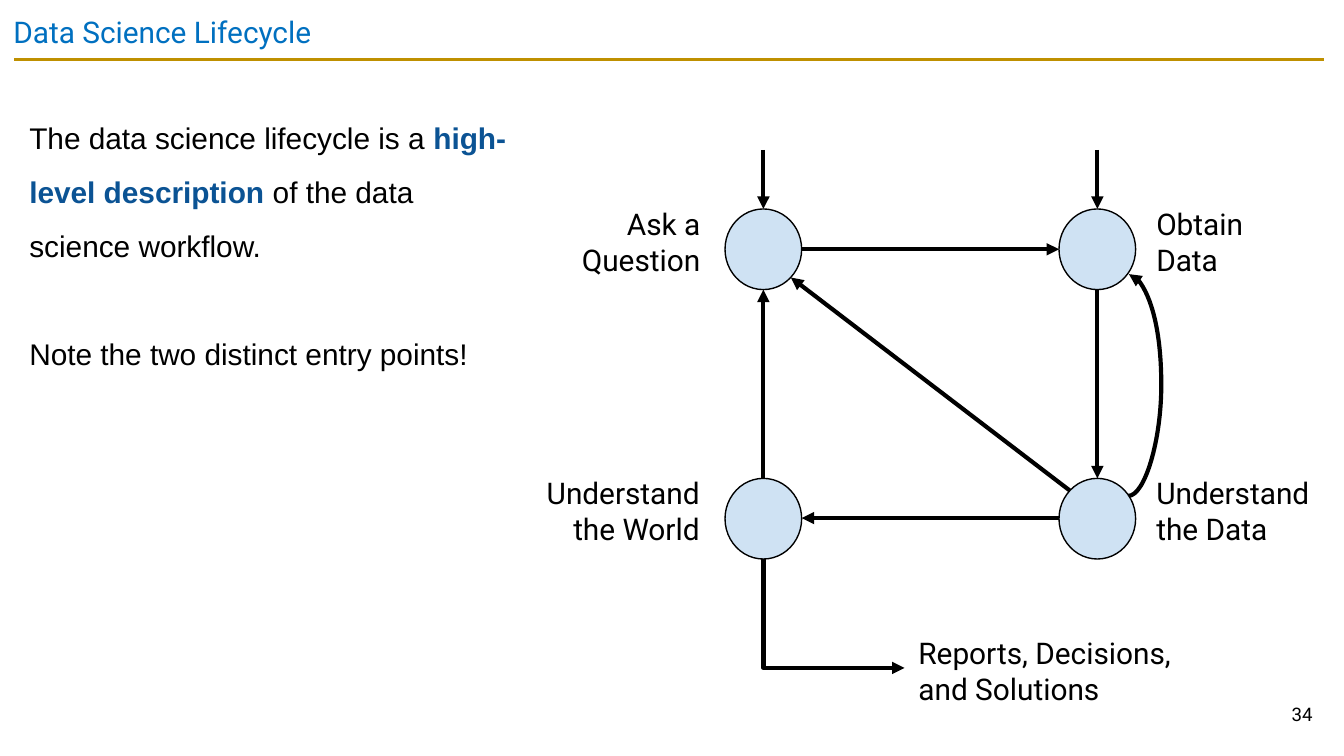
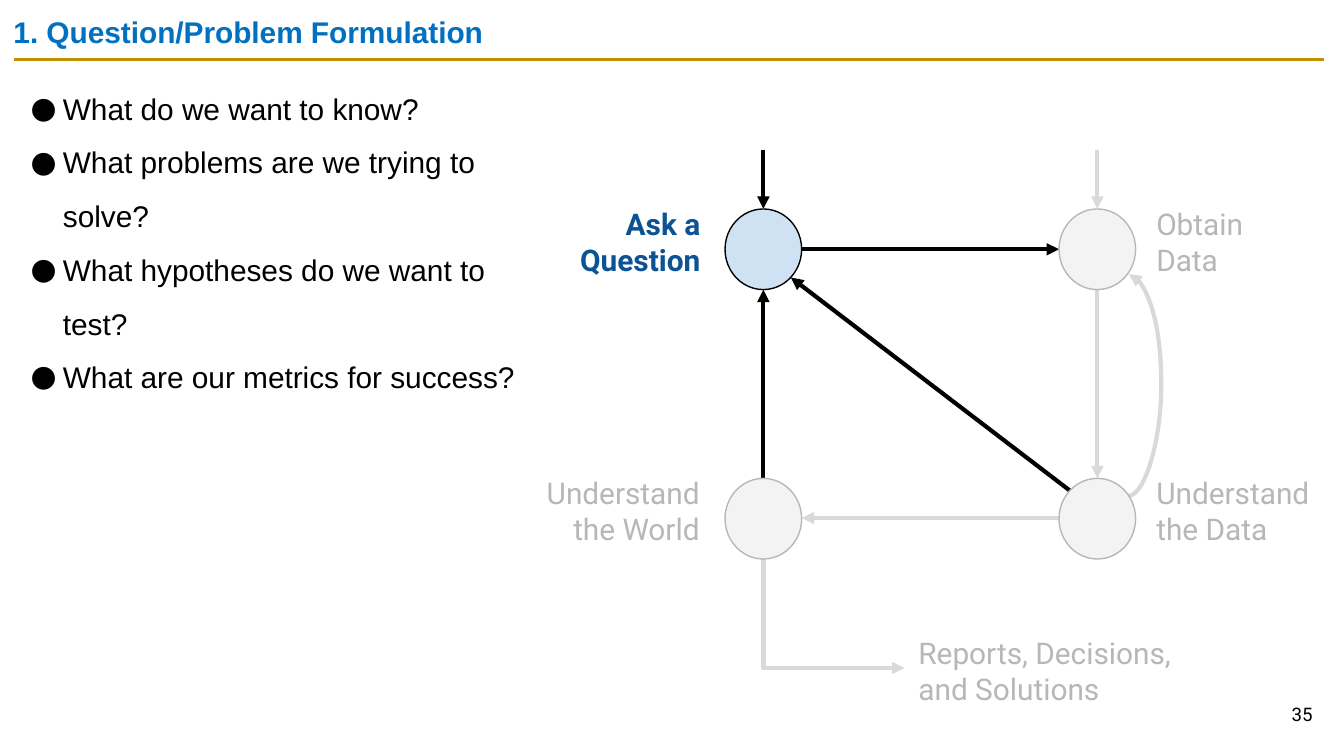
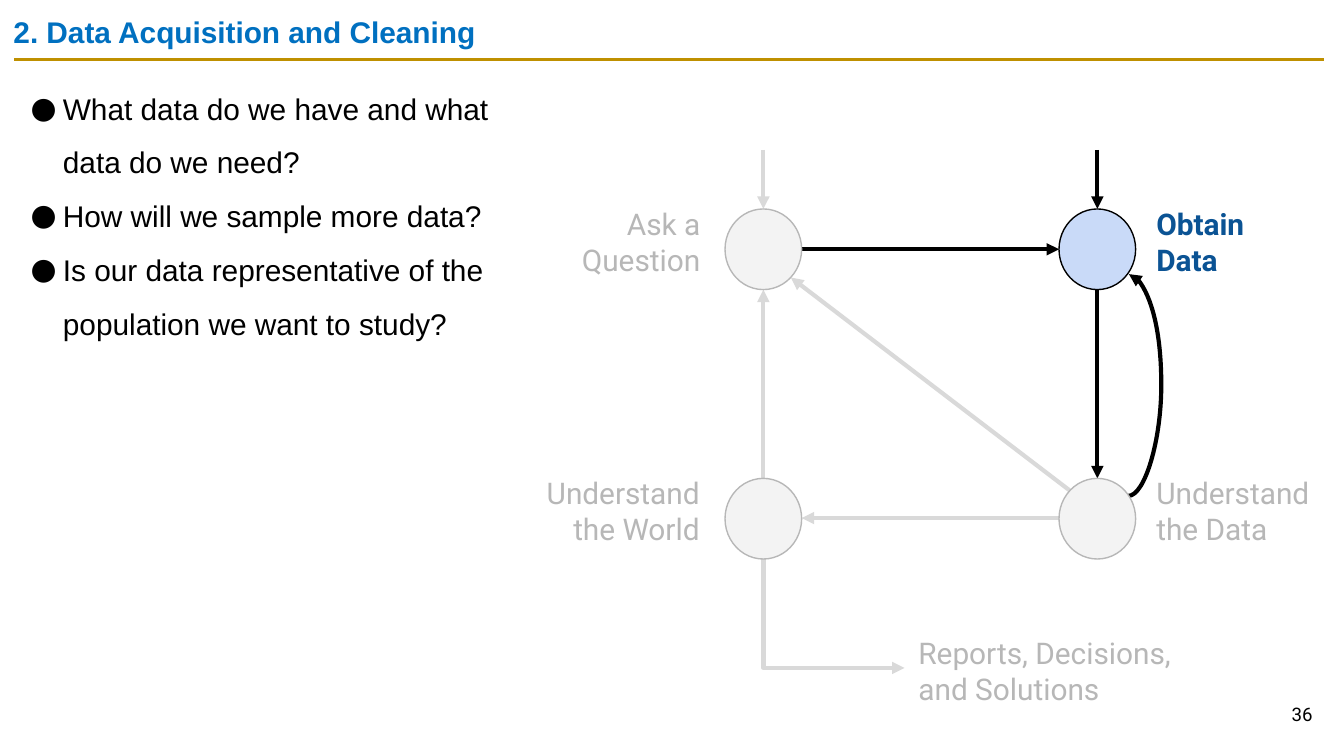
from dataclasses import dataclass

from lxml import etree
from pptx import Presentation
from pptx.dml.color import RGBColor
from pptx.enum.shapes import MSO_CONNECTOR, MSO_SHAPE
from pptx.enum.text import MSO_ANCHOR, MSO_AUTO_SIZE, PP_ALIGN
from pptx.oxml.ns import qn
from pptx.util import Pt

STRAIGHT, ELBOW, CURVE = MSO_CONNECTOR.STRAIGHT, MSO_CONNECTOR.ELBOW, MSO_CONNECTOR.CURVE
OVAL = MSO_SHAPE.OVAL
TOP, MIDDLE = MSO_ANCHOR.TOP, MSO_ANCHOR.MIDDLE
LEFT, RIGHT = PP_ALIGN.LEFT, PP_ALIGN.RIGHT
NO_FIT = MSO_AUTO_SIZE.NONE
PX = 4572


@dataclass(frozen=True)
class Theme:
    ink: str = "000000"
    title: str = "0070C0"
    rule: str = "BF9000"
    accent: str = "0B5394"
    node: str = "CFE2F3"
    node_alt: str = "C9DAF8"
    muted_node: str = "F3F3F3"
    muted_text: str = "B7B7B7"
    muted_line: str = "D9D9D9"
    body_font: str = "Arial"
    label_font: str = "Roboto"
    text_size: int = 16
    number_size: int = 10
    rule_width: float = 1.5
    arrow_width: float = 2.25
    outline_width: float = 0.75


theme = Theme()


def format_frame(box, bounds, anchor=TOP):
    box.left, box.top, box.width, box.height = (value * PX for value in bounds)
    frame = box.text_frame
    frame.word_wrap = True
    frame.auto_size = NO_FIT
    frame.vertical_anchor = anchor
    frame.margin_left = frame.margin_top = frame.margin_right = frame.margin_bottom = 20 * PX
    return frame


def add_span(para, text, font, colour=theme.ink, bold=False, size=theme.text_size):
    span = para.add_run()
    span.text = text
    span.font.name = font
    span.font.size = Pt(size)
    span.font.bold = bold
    span.font.color.rgb = RGBColor.from_string(colour)


NODE_WIDTH, NODE_HEIGHT = 114, 120
nodes = {
    "ask": (1079, 311),
    "obtain": (1576, 311),
    "data": (1576, 712),
    "world": (1079, 712),
}
labels = {
    "ask": ("Ask a Question", (796, 286, 266, 138), RIGHT),
    "obtain": ("Obtain Data", (1701, 286, 226, 138), LEFT),
    "data": ("Understand the Data", (1701, 687, 290, 138), LEFT),
    "world": ("Understand the World", (735, 687, 326, 138), RIGHT),
    "reports": ("Reports, Decisions, and Solutions", (1347, 925, 430, 138), LEFT),
}
arrows = [
    (("entry", "ask"), STRAIGHT, (1136, 223, 1136, 311)),
    (("entry", "obtain"), STRAIGHT, (1633, 223, 1633, 311)),
    (("ask", "obtain"), STRAIGHT, (1193, 371, 1576, 371)),
    (("obtain", "data"), STRAIGHT, (1633, 431, 1633, 712)),
    (("data", "ask"), STRAIGHT, (1592, 730, 1177, 413)),
    (("data", "world"), STRAIGHT, (1576, 771, 1193, 771)),
    (("world", "ask"), STRAIGHT, (1136, 712, 1136, 431)),
    (("world", "reports"), ELBOW, (1322, 808, 1160, 1018)),
    (("data", "obtain"), CURVE, (1679, 738, 1680, 408)),
]
slides = [
    {
        "title": "Data Science Lifecycle",
        "title_font": theme.label_font,
        "focus": None,
        "fill": theme.node,
        "body": (24, 132, 754, 748),
        "bullets": False,
        "gap": 29,
        "paragraphs": [
            [
                ("The data science lifecycle is a ", False),
                ("high-level description ", True),
                ("of the data science workflow.", False),
            ],
            [("Note the two distinct entry points!", False)],
        ],
    },
    {
        "title": "1. Question/Problem Formulation",
        "title_font": theme.body_font,
        "focus": "ask",
        "fill": theme.node,
        "body": (24, 88, 772, 748),
        "bullets": True,
        "gap": 0,
        "paragraphs": [
            [("What do we want to know?", False)],
            [("What problems are we trying to solve?", False)],
            [("What hypotheses do we want to test?", False)],
            [("What are our metrics for success?", False)],
        ],
    },
    {
        "title": "2. Data Acquisition and Cleaning",
        "title_font": theme.body_font,
        "focus": "obtain",
        "fill": theme.node_alt,
        "body": (24, 88, 772, 748),
        "bullets": True,
        "gap": 0,
        "paragraphs": [
            [("What data do we have and what data do we need?", False)],
            [("How will we sample more data?", False)],
            [("Is our data representative of the population we want to study?", False)],
        ],
    },
]

deck = Presentation()
deck.slide_width, deck.slide_height = 2000 * PX, 1125 * PX
title_only = deck.slide_layouts[5]

for number, content in enumerate(slides, start=34):
    page = deck.slides.add_slide(title_only)
    focus = content["focus"]

    para = format_frame(page.shapes.title, (0, 0, 1864, 86)).paragraphs[0]
    para.alignment = LEFT
    add_span(para, content["title"], content["title_font"], theme.title, focus is not None)

    strokes = [(STRAIGHT, (21, 89, 1970, 89), theme.rule, theme.rule_width, False)]
    for ends, kind, points in arrows:
        colour = theme.ink if focus is None or focus in ends else theme.muted_line
        strokes.append((kind, points, colour, theme.arrow_width, True))
    for kind, points, colour, width, has_head in strokes:
        connector = page.shapes.add_connector(kind, *(value * PX for value in points))
        connector.line.color.rgb = RGBColor.from_string(colour)
        connector.line.width = Pt(width)
        properties = connector.element.spPr
        if has_head:
            etree.SubElement(properties.find(qn("a:ln")), qn("a:tailEnd"), type="triangle")
        etree.SubElement(properties, qn("a:effectLst"))
        geometry = properties.find(qn("a:prstGeom"))
        if kind == ELBOW:
            geometry.set("prst", "bentConnector2")
            properties.find(qn("a:xfrm")).set("rot", "16200000")
        if kind == CURVE:
            guides = geometry.find(qn("a:avLst"))
            etree.SubElement(guides, qn("a:gd"), name="adj1", fmla="val 4800000")

    for name, (left, top) in nodes.items():
        active = focus in (None, name)
        node = page.shapes.add_shape(OVAL, left * PX, top * PX, NODE_WIDTH * PX, NODE_HEIGHT * PX)
        node.shadow.inherit = False
        node.fill.solid()
        node.fill.fore_color.rgb = RGBColor.from_string(content["fill"] if active else theme.muted_node)
        node.line.color.rgb = RGBColor.from_string(theme.ink if active else theme.muted_text)
        node.line.width = Pt(theme.outline_width)

    for name, (text, bounds, alignment) in labels.items():
        colour = theme.ink if focus is None else theme.accent if name == focus else theme.muted_text
        para = format_frame(page.shapes.add_textbox(0, 0, 0, 0), bounds).paragraphs[0]
        para.alignment = alignment
        add_span(para, text, theme.label_font, colour, name == focus)

    frame = format_frame(page.shapes.add_textbox(0, 0, 0, 0), content["body"])
    for index, spans in enumerate(content["paragraphs"]):
        para = frame.add_paragraph() if index else frame.paragraphs[0]
        para.line_spacing = 1.5
        if index:
            para.space_before = Pt(content["gap"])
        if content["bullets"]:
            settings = para._p.get_or_add_pPr()
            settings.set("marL", str(50 * PX))
            settings.set("indent", str(-48 * PX))
            bullet_colour = etree.SubElement(settings, qn("a:buClr"))
            etree.SubElement(bullet_colour, qn("a:srgbClr"), val=theme.ink)
            etree.SubElement(settings, qn("a:buSzPts"), val=str(theme.text_size * 100))
            etree.SubElement(settings, qn("a:buFont"), typeface=theme.label_font)
            etree.SubElement(settings, qn("a:buChar"), char="●")
        for text, strong in spans:
            add_span(para, text, theme.body_font, theme.accent if strong else theme.ink, strong)

    number_box = page.shapes.add_textbox(0, 0, 0, 0)
    para = format_frame(number_box, (1853, 1020, 120, 86), MIDDLE).paragraphs[0]
    para.alignment = RIGHT
    add_span(para, str(number), theme.label_font, size=theme.number_size)

deck.save("out.pptx")
